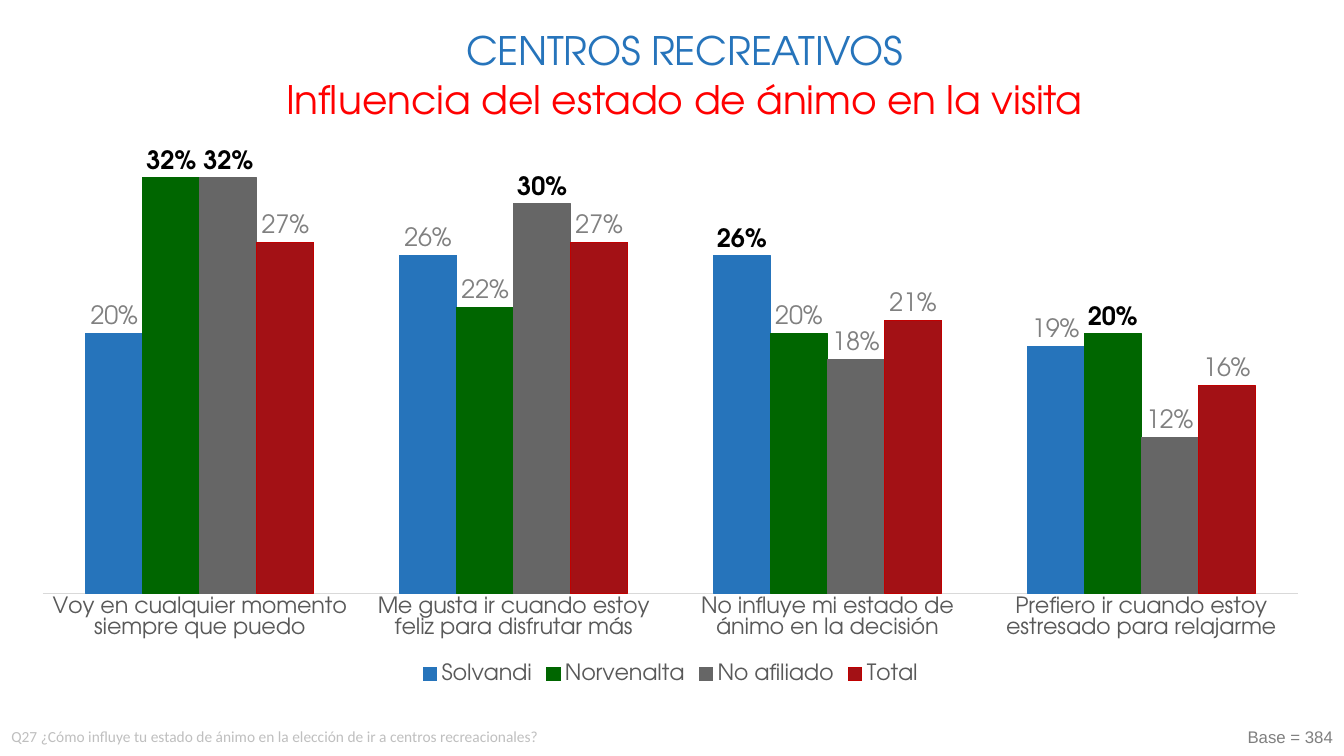
from lxml import etree
from pptx import Presentation
from pptx import util as u
from pptx.chart import data as cd
from pptx.dml.color import RGBColor
from pptx.enum import chart as ch, text
from pptx.oxml.ns import qn

Pt = u.Pt
BLUE = RGBColor(0x26, 0x74, 0xBB)
GREEN = RGBColor(0x00, 0x66, 0x00)
GRAY = RGBColor(0x66, 0x66, 0x66)
CRIMSON = RGBColor(0xA3, 0x11, 0x15)
DARK_RED = RGBColor(0xC0, 0x00, 0x00)
RED = RGBColor(0xFF, 0x00, 0x00)
BLACK = RGBColor(0x00, 0x00, 0x00)
AXIS_TEXT = RGBColor(0x59, 0x59, 0x59)
LABEL = RGBColor(0x80, 0x80, 0x80)
PALE = RGBColor(0xBF, 0xBF, 0xBF)
AXIS_LINE = RGBColor(0xD9, 0xD9, 0xD9)
DISPLAY = "TeX Gyre Adventor"

TITLE = [("CENTROS RECREATIVOS", BLUE),
         ("Influencia del estado de ánimo en la visita", RED)]
CATEGORIES = ["Voy en cualquier momento siempre que puedo",
              "Me gusta ir cuando estoy feliz para disfrutar más",
              "No influye mi estado de ánimo en la decisión",
              "Prefiero ir cuando estoy estresado para relajarme"]
SERIES = [("Solvandi", [0.20, 0.26, 0.26, 0.19], BLUE, BLUE, [2]),
          ("Norvenalta", [0.32, 0.22, 0.20, 0.20], GREEN, GREEN, [0, 3]),
          ("No afiliado", [0.32, 0.30, 0.18, 0.12], GRAY, GRAY, [0, 1]),
          ("Total", [0.27, 0.27, 0.21, 0.16], CRIMSON, DARK_RED, [])]


def set_font(font, size, color, name=DISPLAY, bold=False):
    font.size, font.name, font.bold = Pt(size), name, bold
    font.color.rgb = color


def add_title(s, x, y, w, h):
    sp = s.shapes.title
    sp.left, sp.top, sp.width, sp.height = Pt(x), Pt(y), Pt(w), Pt(h)
    tf = sp.text_frame
    tf.word_wrap = True
    tf.auto_size = text.MSO_AUTO_SIZE.NONE
    tf.vertical_anchor = text.MSO_ANCHOR.TOP
    tf.margin_left = tf.margin_right = tf.margin_bottom = 0
    tf.margin_top = Pt(2)
    tf.text = "\n".join(line for line, _ in TITLE)
    for i, (p, (_, color)) in enumerate(zip(tf.paragraphs, TITLE)):
        p.alignment = text.PP_ALIGN.CENTER
        p.space_before = Pt(i)
        r = p.runs[0]
        set_font(r.font, 28, color)
        r.font._element.set("spc", "-10")


def add_note(s, x, y, w, h, words, size, color, name, wrap):
    tf = s.shapes.add_textbox(Pt(x), Pt(y), Pt(w), Pt(h)).text_frame
    tf.word_wrap = wrap
    tf.text = words
    set_font(tf.paragraphs[0].runs[0].font, size, color, name)


def set_plot_area(chart, x, y, w, h):
    area = chart._chartSpace.chart.plotArea
    for old in area.findall(qn("c:layout")):
        area.remove(old)
    layout = etree.Element(qn("c:layout"))
    manual = etree.SubElement(layout, qn("c:manualLayout"))
    for tag, val in [("layoutTarget", "inner"), ("xMode", "edge"), ("yMode", "edge"),
                     ("x", x), ("y", y), ("w", w), ("h", h)]:
        etree.SubElement(manual, qn("c:" + tag)).set("val", str(val))
    area.insert(0, layout)


def format_series(series, fill, line, bold_points):
    series.format.fill.solid()
    series.format.fill.fore_color.rgb = fill
    series.format.line.color.rgb = line
    series.format.line.width = Pt(0.75)
    labels = series.data_labels
    labels.show_value = True
    labels.number_format = "0%"
    labels.number_format_is_linked = False
    labels.position = ch.XL_LABEL_POSITION.OUTSIDE_END
    set_font(labels.font, 18, LABEL)
    for i in bold_points:
        label = series.points[i].data_label
        set_font(label.font, 18, BLACK, bold=True)
        label.position = ch.XL_LABEL_POSITION.OUTSIDE_END


def add_mood_chart(s, x, y, w, h):
    data = cd.CategoryChartData(number_format="0%")
    data.categories = CATEGORIES
    for name, values, *_ in SERIES:
        data.add_series(name, values)
    chart = s.shapes.add_chart(ch.XL_CHART_TYPE.COLUMN_CLUSTERED,
                               Pt(x), Pt(y), Pt(w), Pt(h), data).chart
    set_font(chart.font, 10, BLACK, "Calibri")
    chart.has_title = False
    chart.has_legend = True
    chart.legend.position = ch.XL_LEGEND_POSITION.BOTTOM
    chart.legend.include_in_layout = False
    set_font(chart.legend.font, 16, AXIS_TEXT)

    axis = chart.category_axis
    axis.major_tick_mark = axis.minor_tick_mark = ch.XL_TICK_MARK.NONE
    axis.format.line.color.rgb = AXIS_LINE
    axis.format.line.width = Pt(0.75)
    set_font(axis.tick_labels.font, 16, AXIS_TEXT)
    values_axis = chart.value_axis
    values_axis.has_major_gridlines = False
    values_axis.minimum_scale, values_axis.maximum_scale = 0, 0.35
    values_axis.tick_labels.number_format = "0%"
    values_axis.tick_labels.number_format_is_linked = False
    values_axis.visible = False

    plot = chart.plots[0]
    plot.gap_width, plot.overlap = 150, 0
    plot.vary_by_categories = False
    for series, (_, _, fill, line, bold_points) in zip(plot.series, SERIES):
        format_series(series, fill, line, bold_points)
    set_plot_area(chart, 0.02, 0.02, 0.96, 0.81)


def main():
    prs = Presentation()
    prs.slide_width, prs.slide_height = Pt(960), Pt(540)
    s = prs.slides.add_slide(prs.slide_layouts[5])
    add_title(s, 120, 17, 738, 70)
    add_note(s, 1, 516, 677, 21,
             "Q27 ¿Cómo influye tu estado de ánimo en la elección de ir a centros recreacionales?",
             11, PALE, "Calibri", True)
    add_mood_chart(s, 12, 91, 934, 401)
    add_note(s, 884, 515.5, 76, 22, "Base = 384", 12, LABEL, "Arial", False)
    prs.save("out.pptx")


if __name__ == "__main__":
    main()
